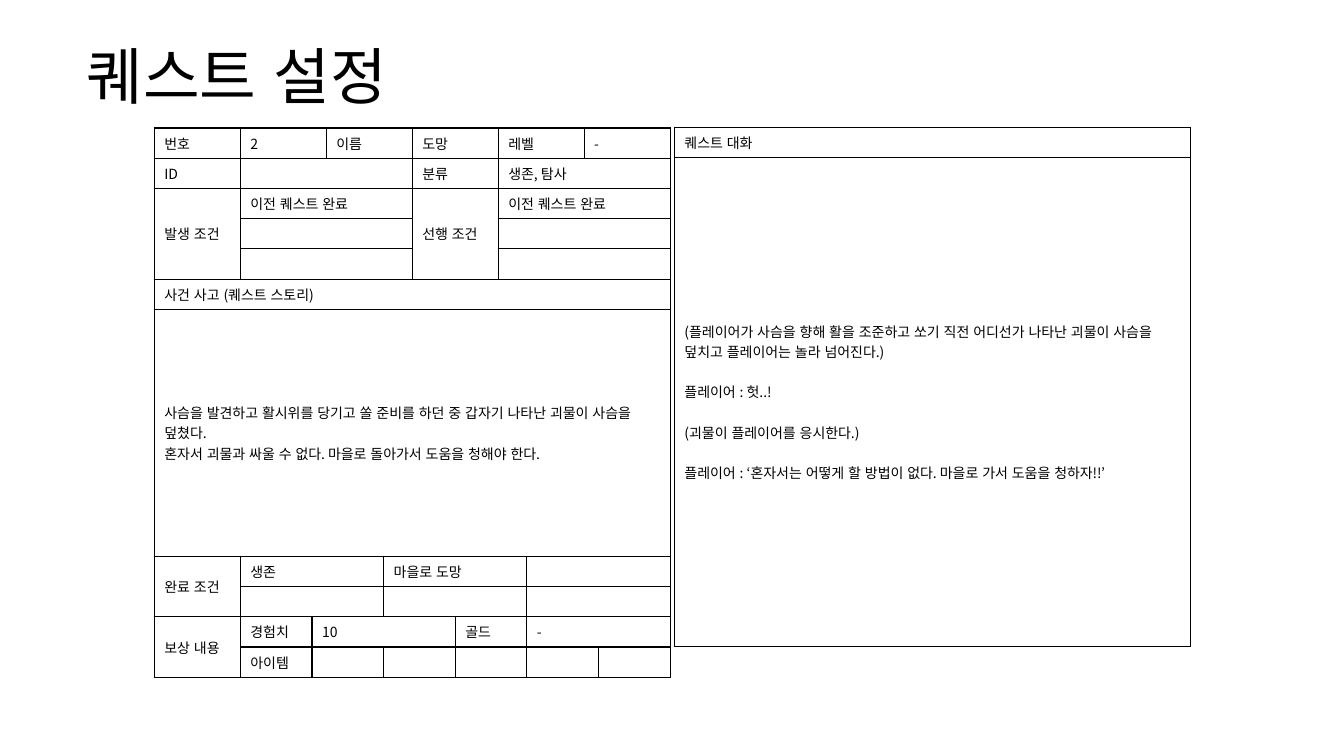
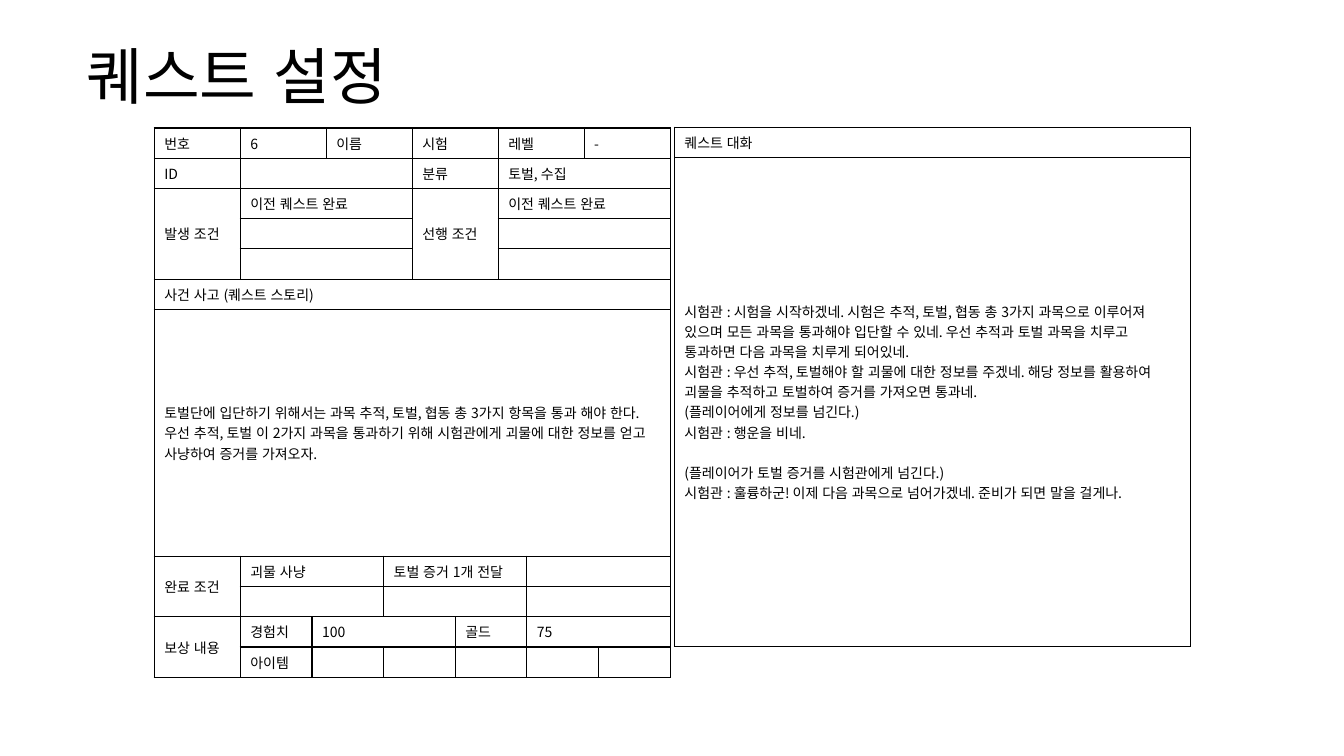
from pptx import Presentation
from pptx.dml.color import RGBColor
from pptx.enum.lang import MSO_LANGUAGE_ID
from pptx.enum.text import MSO_ANCHOR
from pptx.oxml.ns import qn
from pptx.util import Pt
from lxml import etree

MIDDLE = MSO_ANCHOR.MIDDLE
KOREAN = MSO_LANGUAGE_ID.KOREAN
FONT = "Noto Sans CJK KR"
BLACK = "000000"
TITLE = "퀘스트 설정"
TITLE_SIZE = 44
BODY_SIZE = 10
LINE_HEIGHT = 14.4
ROW_HEIGHT = 21.6
STORY_HEIGHT = 176.4
DIALOGUE_HEIGHT = 349.2
BORDER_WIDTH = 1
COLUMN_UNIT = 10.24
SHEET_UNITS = 36
LABEL_UNITS = 6
REWARD_UNITS = 5

QUESTS = [
    {
        "number": "2",
        "name": "도망",
        "level": "-",
        "category": "생존, 탐사",
        "story": [
            "사슴을 발견하고 활시위를 당기고 쏠 준비를 하던 중 갑자기 나타난 괴물이 사슴을 덮쳤다.",
            "혼자서 괴물과 싸울 수 없다. 마을로 돌아가서 도움을 청해야 한다.",
        ],
        "goals": ("생존", "마을로 도망"),
        "experience": "10",
        "gold": "-",
        "scenes": [
            ["(플레이어가 사슴을 향해 활을 조준하고 쏘기 직전 어디선가 나타난 괴물이 사슴을 덮치고 플레이어는 놀라 넘어진다.)"],
            ["플레이어 : 헛..!"],
            ["(괴물이 플레이어를 응시한다.)"],
            ["플레이어 : ‘혼자서는 어떻게 할 방법이 없다. 마을로 가서 도움을 청하자!!’"],
        ],
    },
    {
        "number": "6",
        "name": "시험",
        "level": "-",
        "category": "토벌, 수집",
        "story": [
            "토벌단에 입단하기 위해서는 과목 추적, 토벌, 협동 총 3가지 항목을 통과 해야 한다.",
            "우선 추적, 토벌 이 2가지 과목을 통과하기 위해 시험관에게 괴물에 대한 정보를 얻고 사냥하여 증거를 가져오자.",
        ],
        "goals": ("괴물 사냥", "토벌 증거 1개 전달"),
        "experience": "100",
        "gold": "75",
        "scenes": [
            [
                "시험관 : 시험을 시작하겠네. 시험은 추적, 토벌, 협동 총 3가지 과목으로 이루어져 있으며 모든 과목을 통과해야 입단할 수 있네. 우선 추적과 토벌 과목을 치루고 통과하면 다음 과목을 치루게 되어있네.",
                "시험관 : 우선 추적, 토벌해야 할 괴물에 대한 정보를 주겠네. 해당 정보를 활용하여 괴물을 추적하고 토벌하여 증거를 가져오면 통과네.",
                "(플레이어에게 정보를 넘긴다.)",
                "시험관 : 행운을 비네.",
            ],
            [
                "(플레이어가 토벌 증거를 시험관에게 넘긴다.)",
                "시험관 : 훌륭하군! 이제 다음 과목으로 넘어가겠네. 준비가 되면 말을 걸게나.",
            ],
        ],
    },
]


def color(value):
    return RGBColor.from_string(value)


def sheet_rows(quest):
    first_goal, second_goal = quest["goals"]
    done = "이전 퀘스트 완료"
    return [
        [("번호", 1, 1), (quest["number"], 2, 1), ("이름", 2, 1),
         (quest["name"], 2, 1), ("레벨", 2, 1), (quest["level"], 2, 1)],
        [("ID", 1, 1), ("", 4, 1), ("분류", 2, 1), (quest["category"], 4, 1)],
        [("발생 조건", 1, 3), (done, 4, 1), ("선행 조건", 2, 3), (done, 4, 1)],
        [("", 4, 1), ("", 4, 1)],
        [("", 4, 1), ("", 4, 1)],
        [("사건 사고 (퀘스트 스토리)", 11, 1)],
        [("\n".join(quest["story"]), 11, 1)],
        [("완료 조건", 1, 2), (first_goal, 3, 1), (second_goal, 4, 1), ("", 3, 1)],
        [("", 3, 1), ("", 4, 1), ("", 3, 1)],
        [("보상 내용", 1, 2), ("경험치", 1, 1), (quest["experience"], 4, 1),
         ("골드", 2, 1), (quest["gold"], 3, 1)],
        [("아이템", 1, 1)] + [("", 2, 1)] * 4 + [("", 1, 1)],
    ]


def style_run(run, size):
    run.font.size = Pt(size)
    run.font.name = FONT
    run.font.color.rgb = color(BLACK)
    run.font.language_id = KOREAN
    east_asian = etree.SubElement(run.font._element, qn("a:ea"))
    east_asian.set("typeface", FONT)


def style_cell(cell):
    cell.vertical_anchor = MIDDLE
    for para in cell.text_frame.paragraphs:
        for run in para.runs:
            style_run(run, BODY_SIZE)
        if not para.runs:
            end = etree.SubElement(para._p, qn("a:endParaRPr"))
            end.set("sz", str(BODY_SIZE * 100))
    properties = cell._tc.get_or_add_tcPr()
    for side in ("lnL", "lnR", "lnT", "lnB"):
        line = etree.SubElement(properties, qn(f"a:{side}"), w=str(Pt(BORDER_WIDTH)))
        fill = etree.SubElement(line, qn("a:solidFill"))
        etree.SubElement(fill, qn("a:srgbClr"), val=BLACK)
    cell.fill.background()


def add_grid(page, left, top, widths, heights, rows):
    frame = page.shapes.add_table(
        len(heights), len(widths), Pt(left), Pt(top), Pt(sum(widths)), Pt(sum(heights)))
    table = frame.table
    table.first_row = False
    table.horz_banding = False
    for column, width in zip(table.columns, widths):
        column.width = Pt(width)
    for row, height in zip(table.rows, heights):
        row.height = Pt(height)
    for row_index, row in enumerate(rows):
        column_index = 0
        for text, across, down in row:
            while table.cell(row_index, column_index).is_spanned:
                column_index += 1
            cell = table.cell(row_index, column_index)
            if across > 1 or down > 1:
                cell.merge(table.cell(row_index + down - 1, column_index + across - 1))
            cell.text_frame.text = text
            column_index += across
    for cell in table.iter_cells():
        style_cell(cell)
    return table


def add_title(page):
    box = page.shapes.add_textbox(Pt(54.72), Pt(23), Pt(850.3), Pt(67.7))
    frame = box.text_frame
    frame.word_wrap = True
    frame.vertical_anchor = MIDDLE
    frame.text = TITLE
    para = frame.paragraphs[0]
    para.line_spacing = 0.9
    style_run(para.runs[0], TITLE_SIZE)


def add_sheet(page, quest):
    edges = sorted(
        set(range(0, SHEET_UNITS + 1, LABEL_UNITS))
        | set(range(LABEL_UNITS, SHEET_UNITS + 1, REWARD_UNITS)))
    widths = [(end - start) * COLUMN_UNIT for start, end in zip(edges, edges[1:])]
    heights = [ROW_HEIGHT] * 6 + [STORY_HEIGHT] + [ROW_HEIGHT] * 4
    add_grid(page, 110.2, 91.4, widths, heights, sheet_rows(quest))


def add_dialogue(page, scenes):
    lines = [line for scene in scenes for line in scene]
    rows = [[("퀘스트 대화", 1, 1)], [("\n".join(lines), 1, 1)]]
    table = add_grid(page, 481.7, 90.8, [SHEET_UNITS * COLUMN_UNIT],
                     [ROW_HEIGHT, DIALOGUE_HEIGHT], rows)
    paragraphs = table.cell(1, 0).text_frame.paragraphs
    start = 0
    for scene in scenes[:-1]:
        start += len(scene)
        paragraphs[start].space_before = Pt(LINE_HEIGHT)


def main():
    deck = Presentation()
    deck.slide_width = Pt(960)
    deck.slide_height = Pt(540)
    for quest in QUESTS:
        page = deck.slides.add_slide(deck.slide_layouts[6])
        add_title(page)
        add_sheet(page, quest)
        add_dialogue(page, quest["scenes"])
    deck.save("out.pptx")


if __name__ == "__main__":
    main()
